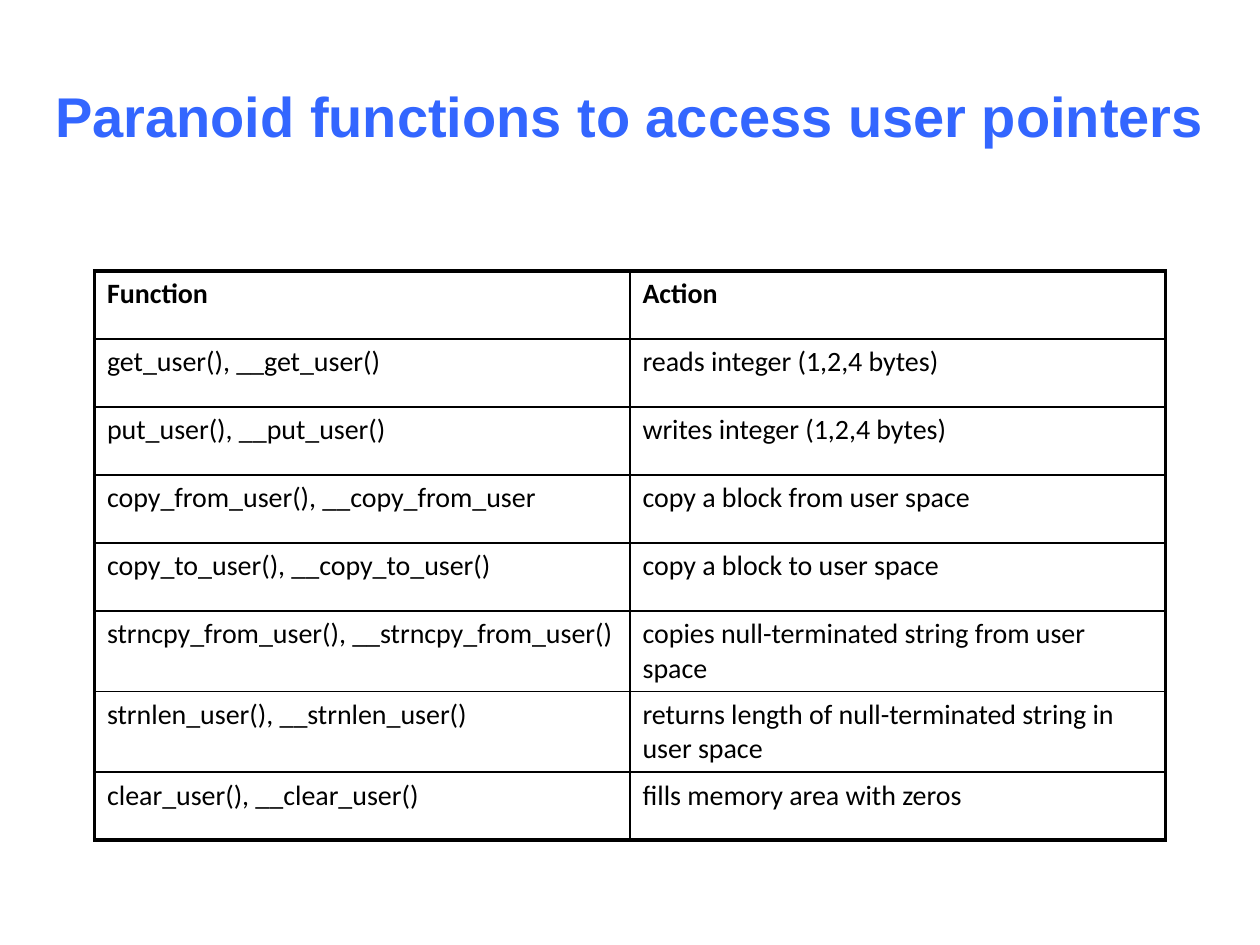
from dataclasses import dataclass
from typing import Any

from lxml import etree
from pptx import Presentation
from pptx.dml.color import RGBColor
from pptx.enum.text import MSO_ANCHOR, PP_ALIGN
from pptx.oxml.ns import qn
from pptx.util import Inches, Pt

MIDDLE = MSO_ANCHOR.MIDDLE
CENTER = PP_ALIGN.CENTER
BLANK_LAYOUT = 6


@dataclass(frozen=True)
class Theme:
    title_color: str = "3366FF"
    ink: str = "000000"
    title_font: str = "Arial"
    table_font: str = "Calibri"
    title_size: float = 32
    table_size: float = 16
    outer_line: float = 2.25
    inner_line: float = 1


HEADER = ("Function", "Action")
FUNCTIONS = [
    ("get_user(), __get_user()", "reads integer (1,2,4 bytes)"),
    ("put_user(), __put_user()", "writes integer (1,2,4 bytes)"),
    ("copy_from_user(), __copy_from_user", "copy a block from user space"),
    ("copy_to_user(), __copy_to_user()", "copy a block to user space"),
    ("strncpy_from_user(), __strncpy_from_user()",
     "copies null-terminated string from user space"),
    ("strnlen_user(), __strnlen_user()",
     "returns length of null-terminated string in user space"),
    ("clear_user(), __clear_user()", "fills memory area with zeros"),
]
ROW_HEIGHTS = [0.54] * 5 + [0.64] * 2 + [0.54]


@dataclass
class SlideBuilder:
    slide: Any
    theme: Theme

    def add_text(self, p, text, color, **font_format):
        r = p.add_run()
        r.text = text
        r.font.color.rgb = RGBColor.from_string(color)
        for name, value in font_format.items():
            setattr(r.font, name, value)

    def title(self, text, left, top, width, height):
        sp = self.slide.shapes.add_textbox(
            Inches(left), Inches(top), Inches(width), Inches(height))
        tf = sp.text_frame
        tf.word_wrap = True
        tf.vertical_anchor = MIDDLE
        p = tf.paragraphs[0]
        p.alignment = CENTER
        t = self.theme
        self.add_text(p, text, t.title_color, name=t.title_font,
                      size=Pt(t.title_size), bold=True)

    def border(self, cell, side, points):
        ln = etree.SubElement(cell._tc.get_or_add_tcPr(), qn(f"a:ln{side}"),
                              w=str(Pt(points)))
        fill = etree.SubElement(ln, qn("a:solidFill"))
        etree.SubElement(fill, qn("a:srgbClr"), val=self.theme.ink)

    def table(self, rows, heights, left, top, width):
        t = self.theme
        n_rows, n_cols = len(rows), len(rows[0])
        table = self.slide.shapes.add_table(
            n_rows, n_cols, Inches(left), Inches(top),
            Inches(width), Inches(sum(heights))).table
        table.first_row = table.horz_banding = False
        for column in table.columns:
            column.width = Inches(width / n_cols)

        for i, (texts, height) in enumerate(zip(rows, heights)):
            table.rows[i].height = Inches(height)
            for j, text in enumerate(texts):
                cell = table.cell(i, j)
                self.add_text(cell.text_frame.paragraphs[0], text, t.ink,
                              name=t.table_font, size=Pt(t.table_size),
                              bold=i == 0)
                # Heavy frame around the table, thin rules inside
                on_edge = {"L": j == 0, "R": j == n_cols - 1,
                           "T": i == 0, "B": i == n_rows - 1}
                for side, outer in on_edge.items():
                    self.border(cell, side,
                                t.outer_line if outer else t.inner_line)
                cell.fill.background()


def main():
    prs = Presentation()
    prs.slide_width, prs.slide_height = Inches(10), Inches(7.5)
    s = prs.slides.add_slide(prs.slide_layouts[BLANK_LAYOUT])
    builder = SlideBuilder(s, Theme())

    # Title
    builder.title("Paranoid functions to access user pointers",
                  0.15, 0.29, 9.7, 1.25)

    # Function table
    builder.table([HEADER] + FUNCTIONS, ROW_HEIGHTS, 0.75, 2.15, 8.5)

    prs.save("out.pptx")


if __name__ == "__main__":
    main()
